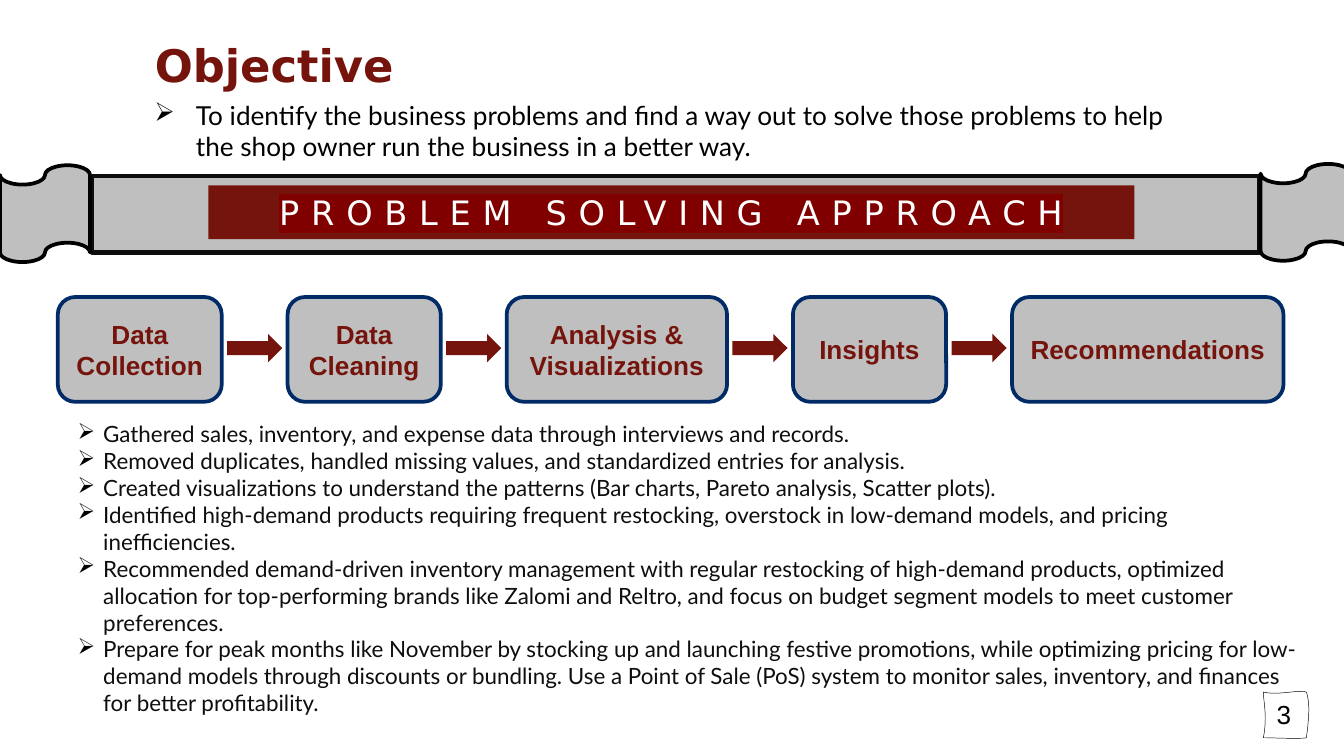
from dataclasses import dataclass

from lxml.etree import SubElement
from pptx import Presentation
from pptx.dml.color import RGBColor
from pptx.enum.shapes import MSO_SHAPE
from pptx.enum.text import MSO_ANCHOR, PP_ALIGN
from pptx.oxml.ns import qn
from pptx.util import Inches, Pt


@dataclass(frozen=True)
class Theme:
    """Colours, fonts and type sizes of the slide."""
    maroon: str = "75140C"
    highlight: str = "800000"
    grey: str = "BFBFBF"
    navy: str = "012B67"
    black: str = "000000"
    rail: str = "0D0D0D"
    ink: str = "0E0E0E"
    white: str = "FFFFFF"
    heading_font: str = "DejaVu Sans"
    body_font: str = "Lato"
    label_font: str = "Arial"
    title: int = 24
    banner: int = 18
    lead: int = 14
    detail: int = 12


@dataclass(frozen=True)
class Box:
    """An area in grid cells, one cell being a hundredth of the slide width."""
    left: float
    top: float
    width: float
    height: float

    def area(self, left, top, width, height):
        """Return an area offset from this one."""
        return Box(self.left + left, self.top + top, width, height)

    def lengths(self):
        """Return left, top, width and height as slide lengths."""
        return [grid(value) for value in (self.left, self.top, self.width, self.height)]


THEME = Theme()
STEPS = [("Data Collection", 12.2), ("Data Cleaning", 11.4), ("Analysis & Visualizations", 16.4),
         ("Insights", 11.4), ("Recommendations", 20.2)]
GOAL = ["To identify the business problems and find a way out to solve those problems "
        "to help the shop owner run the business in a better way."]
FINDINGS = [
    "Gathered sales, inventory, and expense data through interviews and records.",
    "Removed duplicates, handled missing values, and standardized entries for analysis.",
    "Created visualizations to understand the patterns (Bar charts, Pareto analysis, Scatter plots).",
    "Identified high-demand products requiring frequent restocking, overstock in low-demand models, "
    "and pricing inefficiencies.",
    "Recommended demand-driven inventory management with regular restocking of high-demand products, "
    "optimized allocation for top-performing brands like Zalomi and Reltro, and focus on budget segment "
    "models to meet customer preferences.",
    "Prepare for peak months like November by stocking up and launching festive promotions, while "
    "optimizing pricing for low-demand models through discounts or bundling. Use a Point of Sale (PoS) "
    "system to monitor sales, inventory, and finances for better profitability.",
]
NOTE_CURVES = [
    [(0, 0), (0.35, 0.08), (0.81, -0.06), (1, 0)],
    [(1, 0), (1.09, 0.24), (1.06, 0.59), (1, 1)],
    [(1, 1), (0.88, 1.03), (0.25, 1), (0, 1)],
    [(0, 1), (0.1, 0.53), (0, 0.2), (0, 0)],
]


def grid(cells):
    """Turn grid cells into a slide length."""
    return Inches(cells / 10)


def style_text(shape, font, size, color, bold=False, align=None, anchor=MSO_ANCHOR.TOP):
    """Format all text of a shape alike."""
    shape.text_frame.vertical_anchor = anchor
    for para in shape.text_frame.paragraphs:
        para.alignment = align
        for span in para.runs:
            span.font.name, span.font.size, span.font.bold = font, Pt(size), bold
            span.font.color.rgb = RGBColor.from_string(color)


def add_block(page, kind, box, fill, line=None, weight=2):
    """Add a flat preset shape."""
    shape = page.shapes.add_shape(kind, *box.lengths())
    shape.shadow.inherit = False
    shape.fill.solid()
    shape.fill.fore_color.rgb = RGBColor.from_string(fill)
    if line:
        shape.line.color.rgb = RGBColor.from_string(line)
        shape.line.width = Pt(weight)
    else:
        shape.line.fill.background()
    return shape


def add_text(page, box, lines):
    """Add a wrapping text box with one paragraph per line."""
    shape = page.shapes.add_textbox(*box.lengths())
    shape.text_frame.word_wrap = True
    shape.text_frame.text = "\n".join(lines)
    return shape


def add_title(page, box):
    """Place the slide title at the foot of its box."""
    shape = add_text(page, box, ["Objective"])
    shape.text_frame.margin_top = shape.text_frame.margin_bottom = grid(1)
    style_text(shape, THEME.heading_font, THEME.title, THEME.maroon, True,
               PP_ALIGN.CENTER, MSO_ANCHOR.BOTTOM)


def add_bullets(page, box, lines, indent, size, color):
    """Place a list with arrowhead bullets and a hanging indent."""
    shape = add_text(page, box, lines)
    for para in shape.text_frame.paragraphs:
        properties = para._p.get_or_add_pPr()
        properties.set("marL", str(grid(indent)))
        properties.set("indent", str(-grid(indent)))
        tint = SubElement(properties, qn("a:buClr"))
        SubElement(tint, qn("a:srgbClr"), val=THEME.black)
        SubElement(properties, qn("a:buChar"), char="➢")
    style_text(shape, THEME.body_font, size, color)


def add_banner(page, box):
    """Draw the scroll with its two curled ends and the highlighted heading."""
    add_block(page, MSO_SHAPE.RECTANGLE, box.area(6.84, 0.9, 86.84, 5.7),
              THEME.grey, THEME.rail, 2.25)
    for left, top in ((93.8, 0), (0, 0.1)):
        add_block(page, MSO_SHAPE.FLOWCHART_PUNCHED_TAPE, box.area(left, top, 6.7, 7.2),
                  THEME.grey, THEME.black)
    plate = add_block(page, MSO_SHAPE.RECTANGLE, box.area(15.5, 1.6, 68.9, 4), THEME.maroon)
    plate.text_frame.text = "PROBLEM SOLVING APPROACH"
    style_text(plate, THEME.heading_font, THEME.banner, THEME.white, align=PP_ALIGN.CENTER)
    properties = plate.text_frame.paragraphs[0].runs[0].font._element
    properties.set("spc", "630")
    marker = SubElement(properties, qn("a:highlight"))
    SubElement(marker, qn("a:srgbClr"), val=THEME.highlight)
    properties.find(qn("a:solidFill")).addnext(marker)


def add_process(page, box, gap=4.9, arrow_width=4.1, arrow_height=2.1):
    """Lay the steps in a row with an arrow centred in each gap."""
    left = 0
    for index, (label, width) in enumerate(STEPS):
        if index:
            add_block(page, MSO_SHAPE.RIGHT_ARROW,
                      box.area(left - (gap + arrow_width) / 2, 2.75, arrow_width, arrow_height),
                      THEME.maroon)
        step = add_block(page, MSO_SHAPE.ROUNDED_RECTANGLE, box.area(left, 0, width, box.height),
                         THEME.grey, THEME.navy)
        step.text_frame.word_wrap = True
        step.text_frame.text = label
        style_text(step, THEME.label_font, THEME.lead, THEME.maroon, True,
                   PP_ALIGN.CENTER, MSO_ANCHOR.MIDDLE)
        left += width + gap


def curve_points(curve, box, steps=12):
    """Sample a cubic curve given in shares of the box."""
    for step in range(1, steps + 1):
        t = step / steps
        weights = ((1 - t) ** 3, 3 * t * (1 - t) ** 2, 3 * t * t * (1 - t), t ** 3)
        across, down = (sum(w * point[axis] for w, point in zip(weights, curve)) for axis in (0, 1))
        yield grid(box.left + across * box.width), grid(box.top + down * box.height)


def add_page_number(page, box):
    """Draw the wavy paper note that holds the page number."""
    outline = page.shapes.build_freeform(grid(box.left), grid(box.top))
    points = [point for curve in NOTE_CURVES for point in curve_points(curve, box)]
    outline.add_line_segments(points, close=True)
    note = outline.convert_to_shape()
    note.shadow.inherit = False
    note.fill.background()
    note.line.color.rgb = RGBColor.from_string(THEME.black)
    note.line.width = Pt(0.25)
    note.text_frame.word_wrap = False
    note.text_frame.text = "3"
    style_text(note, THEME.label_font, THEME.lead, THEME.black, align=PP_ALIGN.LEFT)


def main():
    """Build and save the slide."""
    deck = Presentation()
    deck.slide_width, deck.slide_height = grid(100), grid(56.25)
    page = deck.slides.add_slide(deck.slide_layouts[6])
    add_title(page, Box(0, 0, 40.8, 7.8))
    add_bullets(page, Box(10.5, 6.9, 79, 5.7), GOAL, 3.1, THEME.lead, THEME.black)
    add_banner(page, Box(0, 12.2, 100, 7.3))
    add_process(page, Box(4.3, 22.1, 91.2, 7.8))
    add_bullets(page, Box(4.8, 30.8, 93.3, 23.2), FINDINGS, 1.9, THEME.detail, THEME.ink)
    add_page_number(page, Box(94, 51.5, 3.2, 3.4))
    deck.save("out.pptx")


if __name__ == "__main__":
    main()
